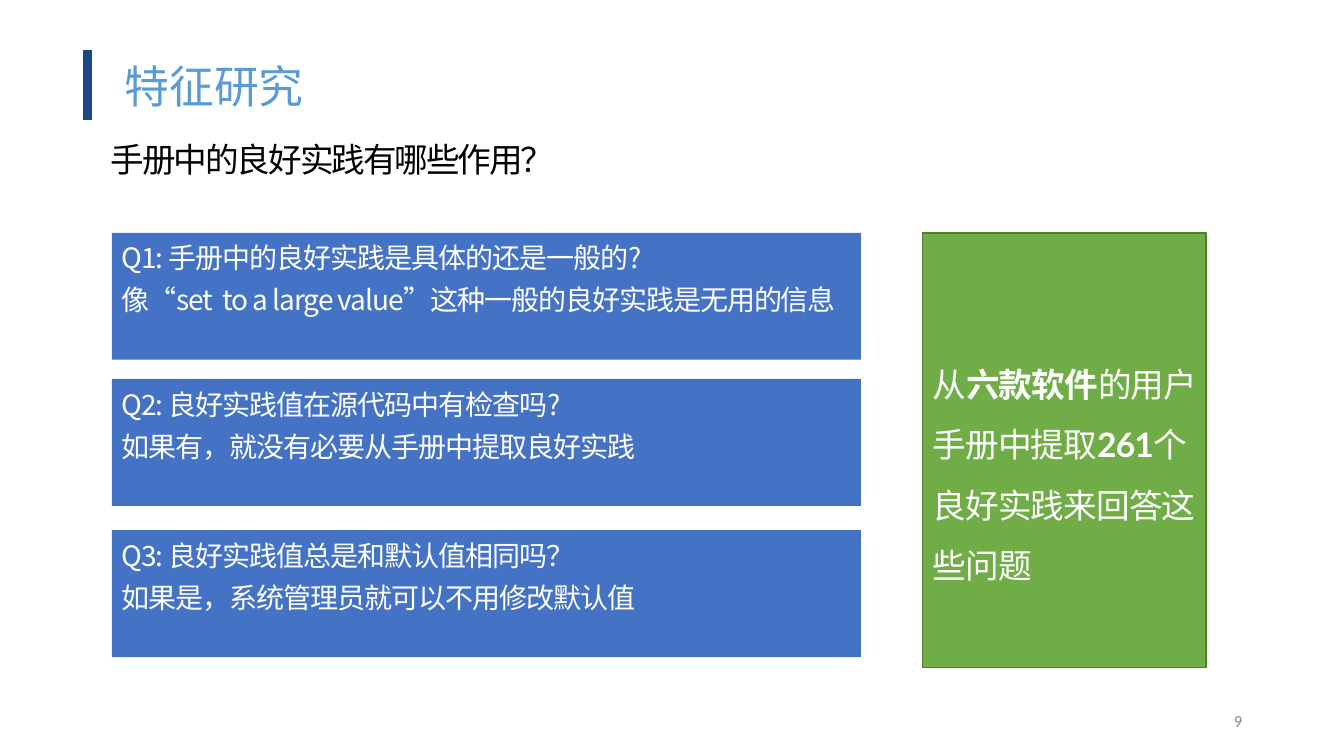
from dataclasses import dataclass

import pptx
import pptx.dml.color
import pptx.enum.shapes
import pptx.enum.text
import pptx.oxml.ns
import pptx.presentation
import pptx.shapes.autoshape
import pptx.slide
import pptx.text.text
import pptx.util

Inches = pptx.util.Inches
Pt = pptx.util.Pt
RGB = pptx.dml.color.RGBColor
Align = pptx.enum.text.PP_ALIGN
Anchor = pptx.enum.text.MSO_ANCHOR
qn = pptx.oxml.ns.qn

BLACK = RGB(0x00, 0x00, 0x00)
WHITE = RGB(0xFF, 0xFF, 0xFF)
GRAY = RGB(0x8C, 0x8C, 0x8C)
SKY = RGB(0x5B, 0x9B, 0xD5)
NAVY = RGB(0x1C, 0x48, 0x85)
BLUE = RGB(0x44, 0x72, 0xC4)
GREEN = RGB(0x70, 0xAD, 0x47)
MOSS = RGB(0x50, 0x7E, 0x32)
NOTO = "Noto Sans CJK SC"


@dataclass
class Style:
    size: float
    color: RGB
    font: str = NOTO
    space: float = 0


@dataclass
class Card:
    top: float
    ask: str
    note: str


HEAD = Style(32, SKY)
TOPIC = Style(24, BLACK, space=-1.5)
QUERY = Style(20, WHITE, space=-0.8)
CLAIM = Style(24, WHITE, "Lato", -0.6)
PAGE = Style(12, GRAY, "Calibri")

CARDS = [
    Card(2.31, "Q1: 手册中的良好实践是具体的还是一般的?",
         "像“set  to a large value”这种一般的良好实践是无用的信息"),
    Card(3.76, "Q2: 良好实践值在源代码中有检查吗?",
         "如果有，就没有必要从手册中提取良好实践"),
    Card(5.26, "Q3: 良好实践值总是和默认值相同吗？",
         "如果是，系统管理员就可以不用修改默认值"),
]
PARTS = [("从", False), ("六款软件", True), ("的用户手册中提取", False),
         ("261", True), ("个良好实践来回答这些问题", False)]


def add_run(para: pptx.text.text._Paragraph, text: str, style: Style,
            bold: bool = False) -> None:
    run = para.add_run()
    run.text = text
    run.font.size = Pt(style.size)
    run.font.bold = bold
    run.font.color.rgb = style.color
    run.font.name = style.font
    props = run.font._element
    props.set("spc", str(round(style.space * 100)))
    east = props.makeelement(qn("a:ea"), {"typeface": style.font})
    props.find(qn("a:latin")).addnext(east)


def set_frame(frame: pptx.text.text.TextFrame, anchor: Anchor,
              left: float = 0, top: float = 0) -> None:
    frame.word_wrap = True
    frame.auto_size = pptx.enum.text.MSO_AUTO_SIZE.NONE
    frame.vertical_anchor = anchor
    frame.margin_left, frame.margin_top = Inches(left), Inches(top)
    frame.margin_right = frame.margin_bottom = 0


def add_box(slide: pptx.slide.Slide, left: float, top: float, width: float,
            height: float, fill: RGB) -> pptx.shapes.autoshape.Shape:
    box = slide.shapes.add_shape(
        pptx.enum.shapes.MSO_SHAPE.RECTANGLE,
        Inches(left), Inches(top), Inches(width), Inches(height))
    box.shadow.inherit = False
    box.fill.solid()
    box.fill.fore_color.rgb = fill
    box.line.fill.background()
    return box


def add_label(slide: pptx.slide.Slide, left: float, top: float, width: float,
              height: float, text: str, style: Style, align: Align,
              anchor: Anchor) -> None:
    box = slide.shapes.add_textbox(
        Inches(left), Inches(top), Inches(width), Inches(height))
    box.text_frame.word_wrap = True
    box.text_frame.vertical_anchor = anchor
    para = box.text_frame.paragraphs[0]
    para.alignment = align
    add_run(para, text, style)


def add_bar(slide: pptx.slide.Slide) -> None:
    bar = slide.shapes.add_connector(
        pptx.enum.shapes.MSO_CONNECTOR.STRAIGHT,
        Inches(0.87), Inches(0.5), Inches(0.87), Inches(1.19))
    bar.line.color.rgb = NAVY
    bar.line.width = Pt(6)
    props = bar._element.spPr
    props.append(props.makeelement(qn("a:effectLst"), {}))


def add_topic(slide: pptx.slide.Slide) -> None:
    title = slide.shapes.title
    title.left, title.top = Inches(1.09), Inches(1.36)
    title.width, title.height = Inches(11.46), Inches(0.42)
    set_frame(title.text_frame, Anchor.MIDDLE, 0.01, 0.01)
    para = title.text_frame.paragraphs[0]
    para.alignment = Align.LEFT
    add_run(para, "手册中的良好实践有哪些作用？", TOPIC)


def add_card(slide: pptx.slide.Slide, card: Card) -> None:
    frame = add_box(slide, 1.11, card.top, 7.43, 1.26, BLUE).text_frame
    set_frame(frame, Anchor.TOP, 0.1, 0.08)
    for para, text in ((frame.paragraphs[0], card.ask),
                       (frame.add_paragraph(), card.note)):
        para.alignment = Align.LEFT
        para.space_before = Pt(6)
        add_run(para, text, QUERY)


def add_claim(slide: pptx.slide.Slide) -> None:
    box = add_box(slide, 9.15, 2.31, 2.81, 4.31, GREEN)
    box.line.color.rgb = MOSS
    box.line.width = Pt(1)
    set_frame(box.text_frame, Anchor.TOP, 0.1, 1.1)
    para = box.text_frame.paragraphs[0]
    para.alignment = Align.LEFT
    para.line_spacing = 1.5
    for text, bold in PARTS:
        add_run(para, text, CLAIM, bold)


def main() -> None:
    deck: pptx.presentation.Presentation = pptx.Presentation()
    deck.slide_width, deck.slide_height = Inches(13.33), Inches(7.5)
    slide = deck.slides.add_slide(deck.slide_layouts[5])
    add_label(slide, -0.24, 0.53, 4.73, 0.64, "特征研究", HEAD,
              Align.CENTER, Anchor.TOP)
    add_bar(slide)
    add_topic(slide)
    for card in CARDS:
        add_card(slide, card)
    add_claim(slide)
    add_label(slide, 9.42, 6.95, 3, 0.4, "9", PAGE, Align.RIGHT, Anchor.MIDDLE)
    deck.save("out.pptx")


if __name__ == "__main__":
    main()
